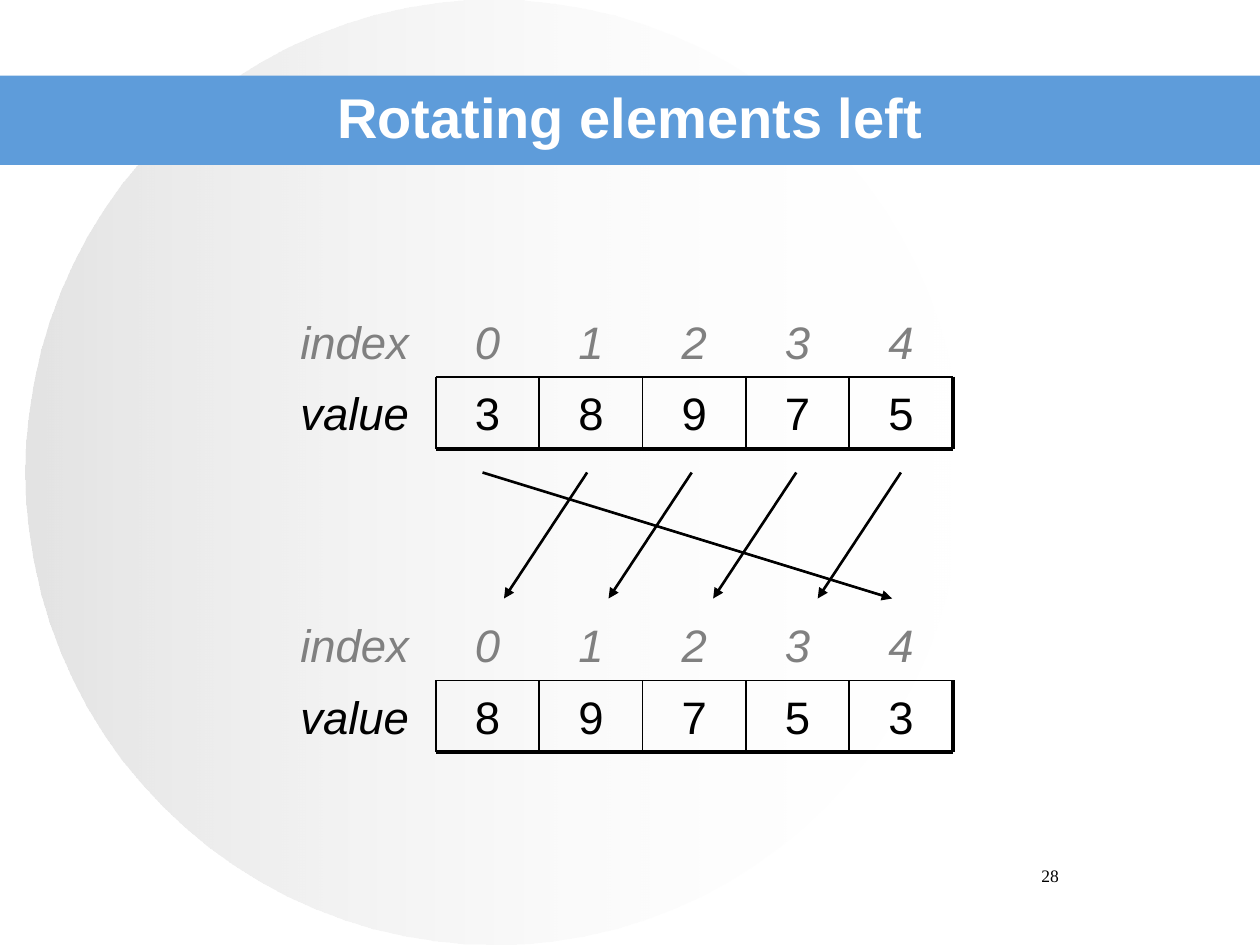
"""Build a slide showing an array before and after a left rotation."""
from lxml import etree
from pptx import Presentation
from pptx.dml.color import RGBColor
from pptx.enum.shapes import MSO_CONNECTOR, MSO_SHAPE
from pptx.enum.text import MSO_ANCHOR, PP_ALIGN
from pptx.oxml.ns import qn
from pptx.util import Inches, Pt

LINE = MSO_CONNECTOR.STRAIGHT
OVAL, RECT = MSO_SHAPE.OVAL, MSO_SHAPE.RECTANGLE
TOP, MIDDLE = MSO_ANCHOR.TOP, MSO_ANCHOR.MIDDLE
CENTER = PP_ALIGN.CENTER

BLACK = RGBColor(0x00, 0x00, 0x00)
WHITE = RGBColor(0xFF, 0xFF, 0xFF)
GRAY = RGBColor(0x80, 0x80, 0x80)
SILVER = RGBColor(0xC0, 0xC0, 0xC0)
BLUE = RGBColor(0x5E, 0x9C, 0xDA)

TITLE = "Rotating elements left"
PAGE_NUMBER = "28"
BEFORE = [3, 8, 9, 7, 5]
AFTER = BEFORE[1:] + BEFORE[:1]
COUNT = len(BEFORE)

WIDTH, HEIGHT = 10, 7.5
LABEL_LEFT, LABEL_W = 2.17, 1.29
GRID_LEFT = LABEL_LEFT + LABEL_W
CELL_W, CELL_H = 0.82, 0.57
ARRAYS = [(2.42, BEFORE), (4.83, AFTER)]
THIN, THICK, ARROW = 1, 2.25, 1.5
ARROW_TOP, ARROW_BOTTOM, ARROW_STEP = 3.75, 4.75, 0.83
TAIL_X, HEAD_X = 3.83, 4


def add_text(shapes, text, box, size, color, font="Arial", bold=False,
             italic=False, anchor=MIDDLE):
    s = shapes.add_textbox(*map(Inches, box))
    tf = s.text_frame
    tf.word_wrap = True
    tf.vertical_anchor = anchor
    p = tf.paragraphs[0]
    p.text = str(text)
    p.alignment = CENTER
    p.font.name, p.font.size = font, Pt(size)
    p.font.bold, p.font.italic = bold, italic
    p.font.color.rgb = color


def add_line(shapes, x1, y1, x2, y2, width, arrow=False):
    s = shapes.add_connector(LINE, *map(Inches, (x1, y1, x2, y2)))
    s.line.color.rgb = BLACK
    s.line.width = Pt(width)
    if arrow:
        etree.SubElement(s.line._get_or_add_ln(), qn("a:tailEnd"), type="triangle")
    etree.SubElement(s.element.spPr, qn("a:effectLst"))


def add_plain_shape(shapes, kind, box):
    s = shapes.add_shape(kind, *map(Inches, box))
    s.shadow.inherit = False
    s.line.fill.background()
    return s


def add_background(shapes):
    circle = add_plain_shape(shapes, OVAL, (0.2, 0, 7.44, HEIGHT))
    circle.fill.gradient()
    circle.fill.gradient_angle = 0
    for stop, color in zip(circle.fill.gradient_stops, (SILVER, WHITE)):
        stop.color.rgb = color
    for color, alpha in zip(circle.element.iter(qn("a:srgbClr")), (44, 0)):
        etree.SubElement(color, qn("a:alpha"), val=str(alpha * 1000))
    band = add_plain_shape(shapes, RECT, (0, 0.6, WIDTH, 0.71))
    band.fill.solid()
    band.fill.fore_color.rgb = BLUE


def add_array(shapes, top, values):
    middle, bottom = top + CELL_H, top + 2 * CELL_H
    right = GRID_LEFT + COUNT * CELL_W
    rows = [(top, "index", range(COUNT), GRAY, True),
            (middle, "value", values, BLACK, False)]
    for y, label, items, color, italic in rows:
        add_text(shapes, label, (LABEL_LEFT, y, LABEL_W, CELL_H), 26, color, italic=True)
        for i, item in enumerate(items):
            box = (GRID_LEFT + i * CELL_W, y, CELL_W, CELL_H)
            add_text(shapes, item, box, 26, color, italic=italic)
    for i in range(COUNT + 1):
        x = GRID_LEFT + i * CELL_W
        add_line(shapes, x, middle, x, bottom, THICK if i == COUNT else THIN)
    for y, width in ((middle, THIN), (bottom, THICK)):
        add_line(shapes, GRID_LEFT, y, right, y, width)


def add_arrows(shapes):
    for i in range(1, COUNT):
        add_line(shapes, TAIL_X + i * ARROW_STEP, ARROW_TOP,
                 HEAD_X + (i - 1) * ARROW_STEP, ARROW_BOTTOM, ARROW, True)
    add_line(shapes, TAIL_X, ARROW_TOP, 7.08, ARROW_BOTTOM, ARROW, True)


def main():
    prs = Presentation()
    prs.slide_width, prs.slide_height = Inches(WIDTH), Inches(HEIGHT)
    shapes = prs.slides.add_slide(prs.slide_layouts[6]).shapes
    add_background(shapes)
    add_text(shapes, PAGE_NUMBER, (7.17, 6.82, 2.33, 0.5), 10, BLACK,
             font="Times New Roman", anchor=TOP)
    add_text(shapes, TITLE, (0.5, 0.3, 9, 1.25), 32, WHITE, bold=True)
    for top, values in ARRAYS:
        add_array(shapes.add_group_shape().shapes, top, values)
    add_arrows(shapes.add_group_shape().shapes)
    prs.save("out.pptx")


if __name__ == "__main__":
    main()
